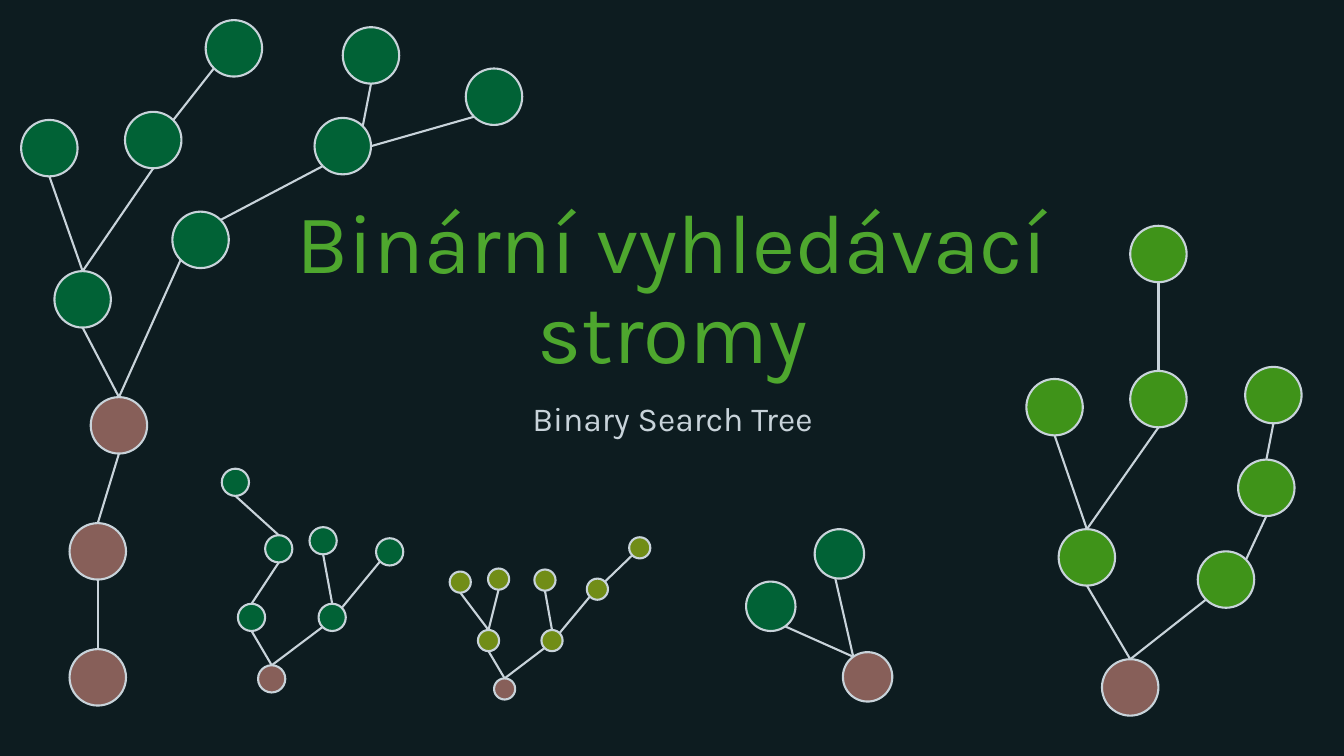
from dataclasses import dataclass
from enum import Enum
from math import cos, radians, sin
from typing import NamedTuple

from lxml.etree import SubElement
from pptx import Presentation
from pptx.dml.color import RGBColor
from pptx.enum.shapes import MSO_CONNECTOR, MSO_SHAPE
from pptx.enum.text import MSO_ANCHOR, PP_ALIGN
from pptx.oxml.ns import qn
from pptx.util import Emu, Pt

EMU_PER_PX = 9144


@dataclass(frozen=True)
class Theme:
    background: str = "0D1C20"
    outline: str = "C8D3DA"
    heading: str = "4EA72E"
    bark: str = "875F59"
    forest: str = "016236"
    grass: str = "3F9319"
    olive: str = "718D17"
    font: str = "Karla"
    heading_size: int = 60
    caption_size: int = 24
    outline_width: float = 1.5


THEME = Theme()


class Port(Enum):
    TOP = 0
    TOP_RIGHT = 45
    RIGHT = 90
    BOTTOM = 180
    BOTTOM_LEFT = 225


class Spot(NamedTuple):
    left: int
    top: int


class Branch(NamedTuple):
    parent: int
    child: int
    start: Port = Port.TOP
    end: Port = Port.BOTTOM


@dataclass(frozen=True)
class Tree:
    diameter: int
    leaf_colour: str
    nodes: list[Spot]
    branches: list[Branch]
    trunk_nodes: int = 1
    tilt: float = 0


@dataclass(frozen=True)
class Caption:
    text: str
    top: int
    height: int
    size: int
    colour: str
    anchor: MSO_ANCHOR
    space_before: int


CAPTIONS = [
    Caption("Binární vyhledávací stromy", 123, 261, THEME.heading_size,
            THEME.heading, MSO_ANCHOR.BOTTOM, 0),
    Caption("Binary Search Tree", 394, 181, THEME.caption_size,
            THEME.outline, MSO_ANCHOR.TOP, 10),
]

TREES = [
    Tree(56, THEME.forest,
         [Spot(69, 644), Spot(69, 519), Spot(90, 394), Spot(54, 269),
          Spot(171, 210), Spot(21, 119), Spot(124, 111), Spot(312, 117),
          Spot(340, 27), Spot(462, 68), Spot(204, 20)],
         [Branch(0, 1), Branch(1, 2), Branch(2, 3),
          Branch(2, 4, end=Port.BOTTOM_LEFT), Branch(3, 5), Branch(3, 6),
          Branch(4, 7, Port.TOP_RIGHT, Port.BOTTOM_LEFT),
          Branch(6, 10, Port.TOP_RIGHT, Port.BOTTOM_LEFT),
          Branch(7, 8, Port.TOP_RIGHT),
          Branch(7, 9, Port.RIGHT, Port.BOTTOM_LEFT)],
         trunk_nodes=3),
    Tree(56, THEME.grass,
         [Spot(1093, 654), Spot(1050, 525), Spot(1188, 547), Spot(1018, 376),
          Spot(1121, 368), Spot(1228, 456), Spot(1235, 364), Spot(1121, 224)],
         [Branch(0, 1), Branch(0, 2, end=Port.BOTTOM_LEFT), Branch(1, 3),
          Branch(1, 4), Branch(2, 5, Port.TOP_RIGHT), Branch(4, 7),
          Branch(5, 6)]),
    Tree(21, THEME.olive,
         [Spot(490, 673), Spot(474, 625), Spot(537, 625), Spot(446, 567),
          Spot(484, 564), Spot(582, 574), Spot(624, 533), Spot(530, 565)],
         [Branch(0, 1), Branch(0, 2, end=Port.BOTTOM_LEFT), Branch(1, 3),
          Branch(1, 4), Branch(2, 5, Port.TOP_RIGHT, Port.BOTTOM_LEFT),
          Branch(2, 7), Branch(5, 6, Port.TOP_RIGHT, Port.BOTTOM_LEFT)]),
    Tree(27, THEME.forest,
         [Spot(256, 660), Spot(236, 599), Spot(316, 599), Spot(263, 531),
          Spot(373, 534), Spot(220, 465), Spot(307, 523)],
         [Branch(0, 1), Branch(0, 2, end=Port.BOTTOM_LEFT), Branch(1, 3),
          Branch(2, 4, Port.TOP_RIGHT, Port.BOTTOM_LEFT), Branch(2, 6),
          Branch(3, 5)]),
    Tree(49, THEME.forest,
         [Spot(836, 647), Spot(740, 577), Spot(808, 525)],
         [Branch(0, 1), Branch(0, 2, end=Port.BOTTOM_LEFT)],
         tilt=324.5),
]


def px(length: float) -> Emu:
    return Emu(round(length * EMU_PER_PX))


def rgb(colour: str) -> RGBColor:
    return RGBColor.from_string(colour)


def style_outline(line) -> None:
    line.color.rgb = rgb(THEME.outline)
    line.width = Pt(THEME.outline_width)


def port_position(tree: Tree, node: int, port: Port) -> tuple[Emu, Emu]:
    spot, radius = tree.nodes[node], tree.diameter / 2
    angle = radians(port.value + tree.tilt)
    return (px(spot.left + radius * (1 + sin(angle))),
            px(spot.top + radius * (1 - cos(angle))))


def draw_node(canvas, tree: Tree, index: int):
    spot = tree.nodes[index]
    node = canvas.add_shape(MSO_SHAPE.OVAL, px(spot.left), px(spot.top),
                            px(tree.diameter), px(tree.diameter))
    node.rotation = tree.tilt
    node.shadow.inherit = False
    node.fill.solid()
    node.fill.fore_color.rgb = rgb(
        THEME.bark if index < tree.trunk_nodes else tree.leaf_colour)
    style_outline(node.line)
    return node


def draw_branch(canvas, tree: Tree, branch: Branch, parent) -> None:
    edge = canvas.add_connector(
        MSO_CONNECTOR.STRAIGHT,
        *port_position(tree, branch.parent, branch.start),
        *port_position(tree, branch.child, branch.end))
    if branch.start is Port.TOP and not tree.tilt:
        edge.begin_connect(parent, 0)
    style_outline(edge.line)
    SubElement(edge._element.spPr, qn("a:effectLst"))


def draw_tree(slide, tree: Tree) -> None:
    canvas = slide.shapes.add_group_shape().shapes if tree.tilt else slide.shapes
    nodes = [draw_node(canvas, tree, index) for index in range(len(tree.nodes))]
    for branch in tree.branches:
        draw_branch(canvas, tree, branch, nodes[branch.parent])


def draw_caption(slide, caption: Caption) -> None:
    frame = slide.shapes.add_textbox(
        px(167), px(caption.top), px(1000), px(caption.height)).text_frame
    frame.word_wrap = True
    frame.vertical_anchor = caption.anchor
    paragraph = frame.paragraphs[0]
    paragraph.alignment = PP_ALIGN.CENTER
    paragraph.line_spacing = 0.9
    paragraph.space_before = Pt(caption.space_before)
    run = paragraph.add_run()
    run.text = caption.text
    run.font.name = THEME.font
    run.font.size = Pt(caption.size)
    run.font.color.rgb = rgb(caption.colour)


def main() -> None:
    deck = Presentation()
    deck.slide_width, deck.slide_height = px(1333), px(750)
    slide = deck.slides.add_slide(deck.slide_layouts[6])
    slide.background.fill.solid()
    slide.background.fill.fore_color.rgb = rgb(THEME.background)
    for caption in CAPTIONS:
        draw_caption(slide, caption)
    for tree in TREES:
        draw_tree(slide, tree)
    deck.save("out.pptx")


if __name__ == "__main__":
    main()
